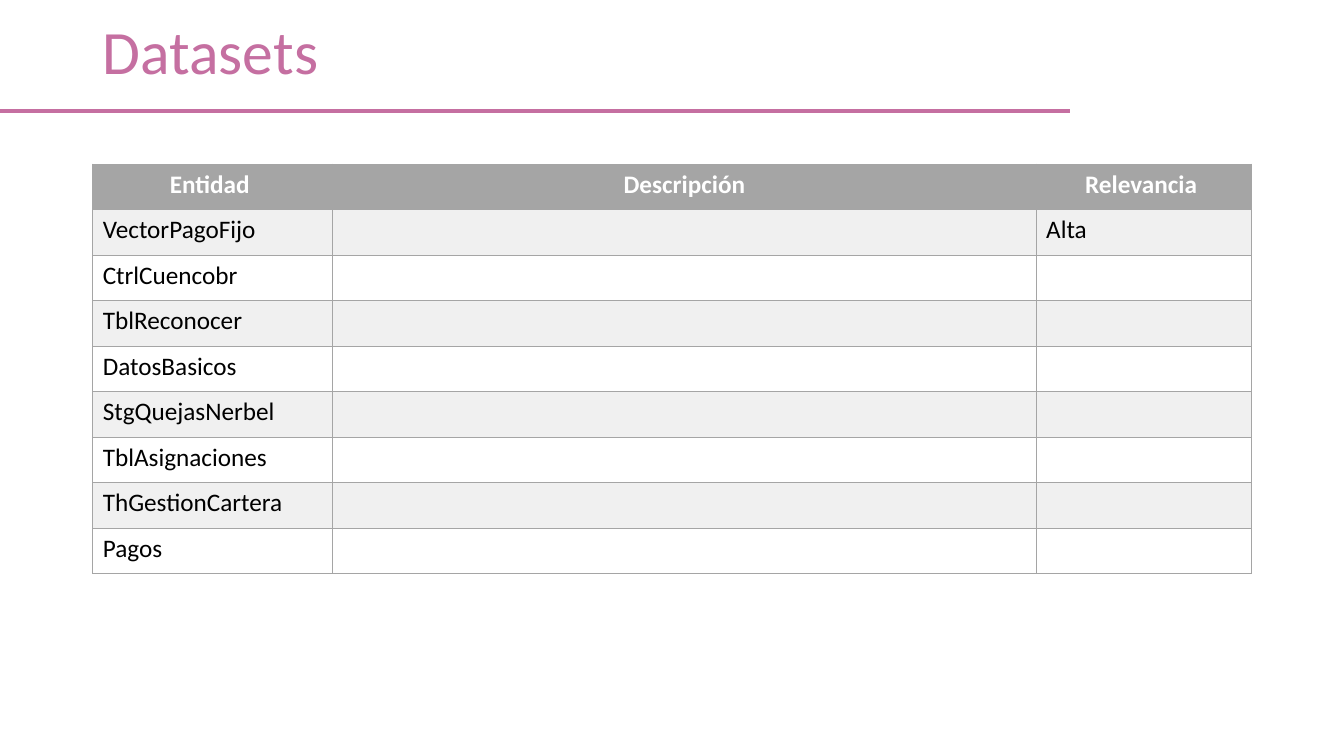
from dataclasses import dataclass

from lxml import etree
from pptx import Presentation
from pptx.dml.color import RGBColor
from pptx.enum.shapes import MSO_CONNECTOR
from pptx.enum.text import MSO_ANCHOR, PP_ALIGN
from pptx.oxml.ns import qn
from pptx.util import Inches, Pt

STRAIGHT = MSO_CONNECTOR.STRAIGHT
MIDDLE = MSO_ANCHOR.MIDDLE
LEFT, CENTER = PP_ALIGN.LEFT, PP_ALIGN.CENTER

# Positions and sizes are percentages of the slide's width or height.
MARGIN = 6.9
COLUMN_WIDTHS = (17.85, 52.35, 16.05)
TABLE_TOP = 21.73
ROW_HEIGHT = 6.02

HEADINGS = ("Entidad ", "Descripción", "Relevancia ")
ENTITIES = (
    ("VectorPagoFijo", "", "Alta"),
    ("CtrlCuencobr", "", ""),
    ("TblReconocer", "", ""),
    ("DatosBasicos", "", ""),
    ("StgQuejasNerbel", "", ""),
    ("TblAsignaciones", "", ""),
    ("ThGestionCartera", "", ""),
    ("Pagos", "", ""),
)


@dataclass(frozen=True)
class Theme:
    font: str = "Calibri"
    accent: str = "C56FA1"
    grey: str = "A5A5A5"
    band: str = "F0F0F0"
    white: str = "FFFFFF"
    black: str = "000000"
    title_size: int = 44
    body_size: int = 18
    rule_width: int = 3
    border_width: int = 1


def write_text(frame, text, *, font, size, color, bold=False,
               align=LEFT, line_spacing=1.0):
    paragraph = frame.paragraphs[0]
    paragraph.alignment = align
    paragraph.line_spacing = line_spacing
    paragraph.font.size = Pt(size)
    if text:
        run = paragraph.add_run()
        run.text = text
        run.font.name = font
        run.font.size = Pt(size)
        run.font.bold = bold
        run.font.color.rgb = RGBColor.from_string(color)


def add_borders(cell, color, width):
    """Outline a cell; call before filling it, as the XML order requires."""
    properties = cell._tc.get_or_add_tcPr()
    for side in ("a:lnL", "a:lnR", "a:lnT", "a:lnB"):
        line = etree.SubElement(properties, qn(side), w=str(Pt(width)))
        fill = etree.SubElement(line, qn("a:solidFill"))
        etree.SubElement(fill, qn("a:srgbClr"), val=color)


class SlideBuilder:
    def __init__(self, presentation, theme):
        self.theme = theme
        self.width = presentation.slide_width
        self.height = presentation.slide_height
        self.slide = presentation.slides.add_slide(presentation.slide_layouts[6])

    def across(self, percent):
        return round(self.width * percent / 100)

    def down(self, percent):
        return round(self.height * percent / 100)

    def title(self, text, left, top, width, height):
        box = self.slide.shapes.add_textbox(
            self.across(left), self.down(top), self.across(width), self.down(height))
        frame = box.text_frame
        frame.word_wrap = True
        frame.vertical_anchor = MIDDLE
        write_text(frame, text, font=self.theme.font, size=self.theme.title_size,
                   color=self.theme.accent, line_spacing=0.9)

    def rule(self, left, right, top):
        connector = self.slide.shapes.add_connector(
            STRAIGHT, self.across(left), self.down(top),
            self.across(right), self.down(top))
        connector.line.color.rgb = RGBColor.from_string(self.theme.accent)
        connector.line.width = Pt(self.theme.rule_width)
        etree.SubElement(connector._element.spPr, qn("a:effectLst"))

    def table(self, rows, left, top, column_widths, row_height):
        """Draw rows as a banded table whose first row is the heading."""
        table = self.slide.shapes.add_table(
            len(rows), len(column_widths), self.across(left), self.down(top),
            self.across(sum(column_widths)), self.down(row_height * len(rows))).table
        for column, width in zip(table.columns, column_widths):
            column.width = self.across(width)
        for index, values in enumerate(rows):
            table.rows[index].height = self.down(row_height)
            for cell, text in zip(table.rows[index].cells, values):
                self.cell(cell, text, index)

    def cell(self, cell, text, row):
        theme = self.theme
        heading = row == 0
        band = theme.band if row % 2 else theme.white
        add_borders(cell, theme.grey, theme.border_width)
        cell.fill.solid()
        cell.fill.fore_color.rgb = RGBColor.from_string(theme.grey if heading else band)
        write_text(cell.text_frame, text, font=theme.font, size=theme.body_size,
                   color=theme.white if heading else theme.black,
                   bold=heading, align=CENTER if heading else LEFT)


def main():
    presentation = Presentation()
    presentation.slide_width = Inches(13.33)
    presentation.slide_height = Inches(7.5)
    builder = SlideBuilder(presentation, Theme())
    builder.title("Datasets", MARGIN, 2, sum(COLUMN_WIDTHS), 10.4)
    builder.table((HEADINGS, *ENTITIES), MARGIN, TABLE_TOP, COLUMN_WIDTHS, ROW_HEIGHT)
    builder.rule(0, 79.6, 14.67)
    presentation.save("out.pptx")


if __name__ == "__main__":
    main()
